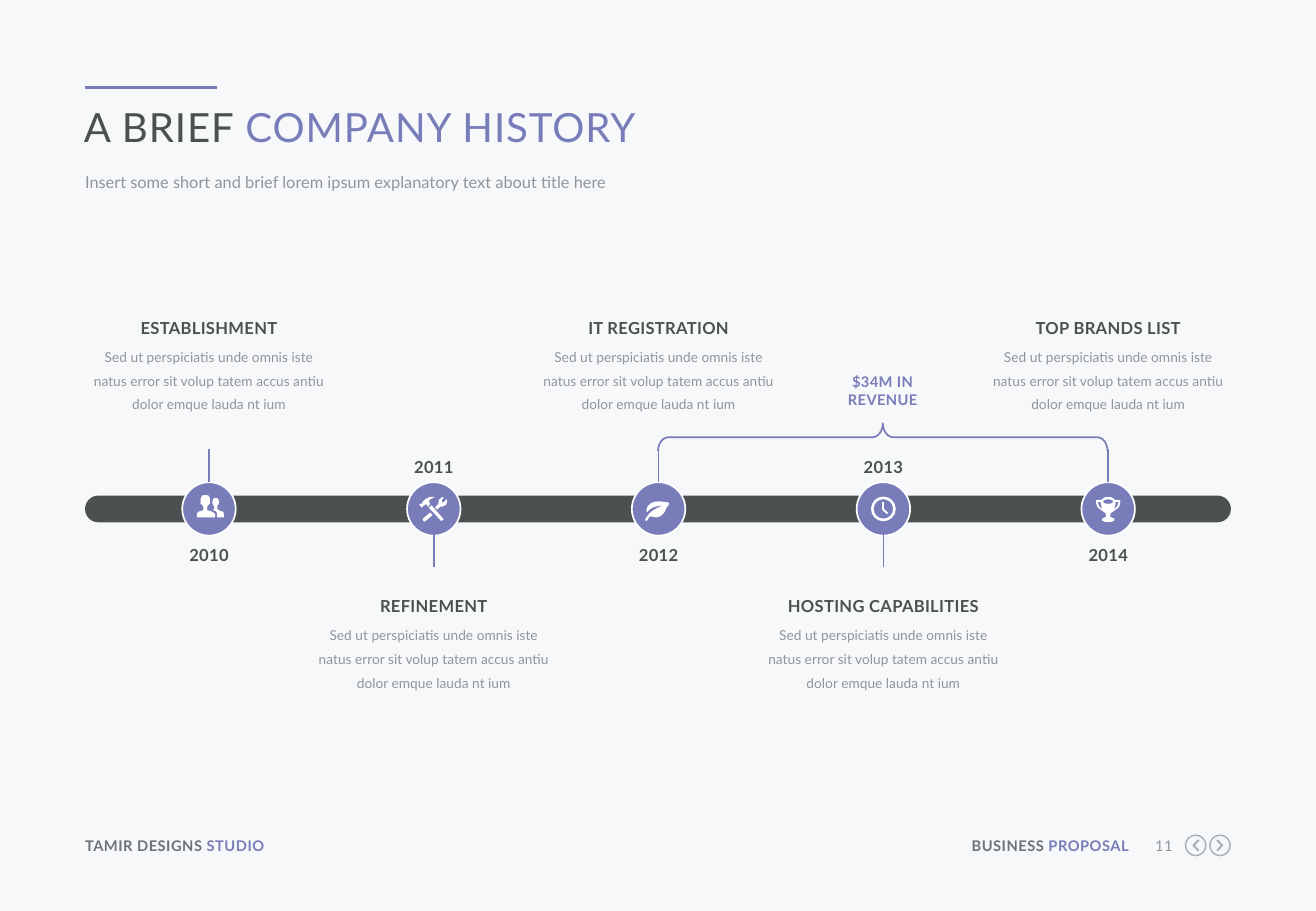
from math import cos, pi, sin

from lxml import etree
from pptx import Presentation
from pptx.dml.color import RGBColor
from pptx.enum.shapes import MSO_CONNECTOR, MSO_SHAPE
from pptx.enum.text import MSO_AUTO_SIZE, PP_ALIGN
from pptx.oxml.ns import qn
from pptx.util import Pt

PX = 9144  # 100 px to the inch
LEFT, CENTER, RIGHT = PP_ALIGN.LEFT, PP_ALIGN.CENTER, PP_ALIGN.RIGHT
OVAL, BAR, BRACE = MSO_SHAPE.OVAL, MSO_SHAPE.ROUNDED_RECTANGLE, MSO_SHAPE.LEFT_BRACE
STRAIGHT = MSO_CONNECTOR.STRAIGHT
FIT = MSO_AUTO_SIZE.SHAPE_TO_FIT_TEXT
FONT = "Lato"
COLORS = {
    "background": "F6F8FA", "accent": "787DB9", "dark": "4B5050", "body": "91969B",
    "footer": "6E7378", "nav": "AAAFB4", "white": "FFFFFF",
}

AXIS_Y = 419
FIRST_X, PITCH = 172, 185
BODY = ("Sed ut perspiciatis unde omnis iste natus error sit volup tatem "
        "accus antiu dolor emque lauda nt ium")


def px(n):
    return round(n * PX)


def color(name):
    return RGBColor.from_string(COLORS[name])


def add_text(s, text, x, y, w, h, size=9.8, fill="dark", bold=False, align=LEFT,
             spacing=0, line=None, after=0, accent="", grow=True):
    """Add a text box; accent is a second run in the accent colour."""
    tf = s.shapes.add_textbox(px(x), px(y), px(w), px(h)).text_frame
    tf.margin_left = tf.margin_right = tf.margin_top = tf.margin_bottom = 0
    tf.word_wrap = True
    if grow:
        tf.auto_size = FIT
    p = tf.paragraphs[0]
    p.alignment = align
    p.space_after = Pt(after)
    if line:
        p.line_spacing = Pt(line)
    for part, name in ((text, fill), (accent, "accent")):
        if not part:
            continue
        r = p.add_run()
        r.text = part
        r.font.name, r.font.size, r.font.bold = FONT, Pt(size), bold
        r.font.color.rgb = color(name)
        r.font._element.set("spc", str(round(spacing * 100)))


def paint(shape, fill=None, line=None):
    shape.shadow.inherit = False
    if fill:
        shape.fill.solid()
        shape.fill.fore_color.rgb = color(fill)
    else:
        shape.fill.background()
    if line:
        shape.line.color.rgb = color(line)
        shape.line.width = Pt(1)
    else:
        shape.line.fill.background()


def add_preset(s, kind, x, y, w, h, fill=None, line=None, adjust=()):
    shape = s.shapes.add_shape(kind, px(x), px(y), px(w), px(h))
    for i, value in enumerate(adjust):
        shape.adjustments[i] = value
    paint(shape, fill, line)
    return shape


def add_line(s, x1, y1, x2, y2, width=1):
    c = s.shapes.add_connector(STRAIGHT, px(x1), px(y1), px(x2), px(y2))
    c.line.color.rgb = color("accent")
    c.line.width = Pt(width)
    etree.SubElement(c._element.spPr, qn("a:effectLst"))


def add_icon(s, contours, x, y, fill="white"):
    """Draw contours given in tenths of a px around the centre x, y."""
    fb = s.shapes.build_freeform(*contours[0][0], scale=PX / 10)
    for i, points in enumerate(contours):
        if i:
            fb.move_to(*points[0])
        fb.add_line_segments(points[1:], close=True)
    paint(fb.convert_to_shape(px(x), px(y)), fill)


def rounded(points):
    """Cut the corners of a closed outline."""
    pairs = zip(points, points[1:] + points[:1])
    return [(round(a * k + c * (1 - k)), round(b * k + d * (1 - k)))
            for (a, b), (c, d) in pairs for k in (0.75, 0.25)]


def ring(rx, ry, cy=0, steps=16):
    turns = [2 * pi * i / steps for i in range(steps)]
    return [(round(rx * cos(t)), round(cy + ry * sin(t))) for t in turns]


def mirror(points):
    return [(-x, y) for x, y in reversed(points)]


def people_icon():
    front = [(-100, 70), (-100, 40), (-85, 22), (-45, 10), (-48, -25),
             (-70, -45), (-68, -85), (-55, -112), (-30, -114), (-5, -112), (8, -85),
             (8, -45), (-12, -25), (-15, 10), (25, 22), (50, 40), (50, 70)]
    back = [(68, 70), (68, 38), (60, 22), (35, 8), (45, -5), (40, -25),
            (28, -45), (30, -70), (40, -88), (55, -90), (75, -85), (82, -65),
            (82, -45), (70, -25), (68, 0), (90, 15), (120, 25), (122, 45), (122, 70)]
    return [front, back]


def tools_icon():
    hammer = [(-80, -30), (-60, -40), (-48, -18), (-30, -40), (-38, -55), (-35, -75),
              (10, -100), (-30, -100), (-70, -80), (-92, -60), (-95, -45),
              (-120, -40), (-100, -12)]
    handle = [(-18, -30), (-40, -10), (62, 100), (82, 85)]
    wrench = [(110, -70), (102, -80), (88, -58), (70, -52), (65, -72), (82, -92),
              (72, -100), (42, -75), (38, -40), (10, -12), (30, 5), (52, -18),
              (75, -20), (105, -38)]
    grip = [(-90, 80), (-90, 92), (-80, 102), (-70, 102), (-10, 50), (-30, 30)]
    return [hammer, handle, wrench, grip]


def leaf_icon():
    return [rounded([
        (95, -50), (65, -10), (45, 35), (10, 65), (-30, 70), (-70, 58),
        (-85, 80), (-98, 102), (-112, 95), (-105, 75), (-70, 30), (-20, -5),
        (40, -30), (-30, -20), (-75, 5), (-98, 32), (-100, 0),
        (-85, -30), (-50, -55), (0, -63), (50, -58)])]


def clock_icon():
    hands = [(-10, -55), (5, -55), (5, 0), (40, 32), (30, 43), (-10, 8)]
    return [ring(102, 102), ring(80, 80), hands]


def trophy_icon():
    half = [(0, -98), (-30, -95), (-55, -75), (-100, -72), (-98, -40), (-85, -10),
            (-50, 15), (-22, 35), (-16, 65), (-50, 80), (-52, 95), (-25, 106)]
    handle = [(-87, -58), (-62, -58), (-58, -28), (-47, 2), (-74, -20)]
    return [half + mirror(half), ring(42, 18, -60), handle, mirror(handle)]


def add_milestone(s, x, year, heading, icon, above):
    """Place one stop; above tells on which side of the axis its text stands."""
    top = 262 if above else 491
    stem = (397, 370) if above else (467, 440)
    add_text(s, str(year), x - 24, 449 if above else 376, 48, 16,
             bold=True, align=CENTER, spacing=0.17)
    add_text(s, BODY, x - 95, top + 19, 190, 59, size=8.1, fill="body",
             align=CENTER, line=14.1, after=6.5)
    add_text(s, heading, x - 95, top, 190, 16, bold=True, align=CENTER, spacing=0.17)
    add_preset(s, OVAL, x - 22, AXIS_Y - 22, 44, 44, "accent", "white")
    add_line(s, x, stem[0], x, stem[1])
    add_icon(s, icon, x, AXIS_Y)


def add_header(s):
    add_line(s, 70, 72, 179, 72, width=2.25)
    add_text(s, "A BRIEF ", 69, 84, 942, 41, size=23.8, spacing=0.6,
             accent="COMPANY HISTORY", grow=False)
    add_text(s, "Insert some short and brief lorem ipsum explanatory text about title here",
             70, 140, 942, 21, size=9.7, fill="body", line=13, grow=False)


def add_footer(s):
    style = dict(y=689, h=15, size=8.7, spacing=0.25)
    add_text(s, "TAMIR DESIGNS ", 70, w=211, fill="footer", bold=True,
             accent="STUDIO", **style)
    add_text(s, "BUSINESS ", 792, w=137, fill="footer", bold=True, align=RIGHT,
             accent="PROPOSAL", **style)
    add_text(s, "11", 940, w=25, fill="body", align=RIGHT, **style)
    chevron = [(-30, -38), (-18, -50), (28, 0), (-18, 50), (-30, 38), (6, 0)]
    for x, arrow in ((984, mirror(chevron)), (1004, chevron)):
        add_icon(s, [ring(90, 90), ring(78, 78), arrow], x, 696, "nav")


def main():
    prs = Presentation()
    prs.slide_width, prs.slide_height = px(1083), px(750)
    s = prs.slides.add_slide(prs.slide_layouts[6])
    s.background.fill.solid()
    s.background.fill.fore_color.rgb = color("background")

    add_header(s)
    add_footer(s)
    brace = add_preset(s, BRACE, 715, 175, 23, 370, line="accent", adjust=(0.372, 0.5))
    brace.rotation = 90
    add_preset(s, BAR, 70, 408, 943, 22, "dark", adjust=(0.5,))
    stops = [
        ("ESTABLISHMENT", people_icon()),
        ("REFINEMENT", tools_icon()),
        ("IT REGISTRATION", leaf_icon()),
        ("HOSTING CAPABILITIES", clock_icon()),
        ("TOP BRANDS LIST", trophy_icon()),
    ]
    for i, (heading, icon) in enumerate(stops):
        add_milestone(s, FIRST_X + i * PITCH, 2010 + i, heading, icon, i % 2 == 0)
    add_text(s, "$34M IN REVENUE", 683, 307, 87, 29, size=8.7, fill="accent",
             bold=True, align=CENTER, spacing=0.2)
    prs.save("out.pptx")


if __name__ == "__main__":
    main()
